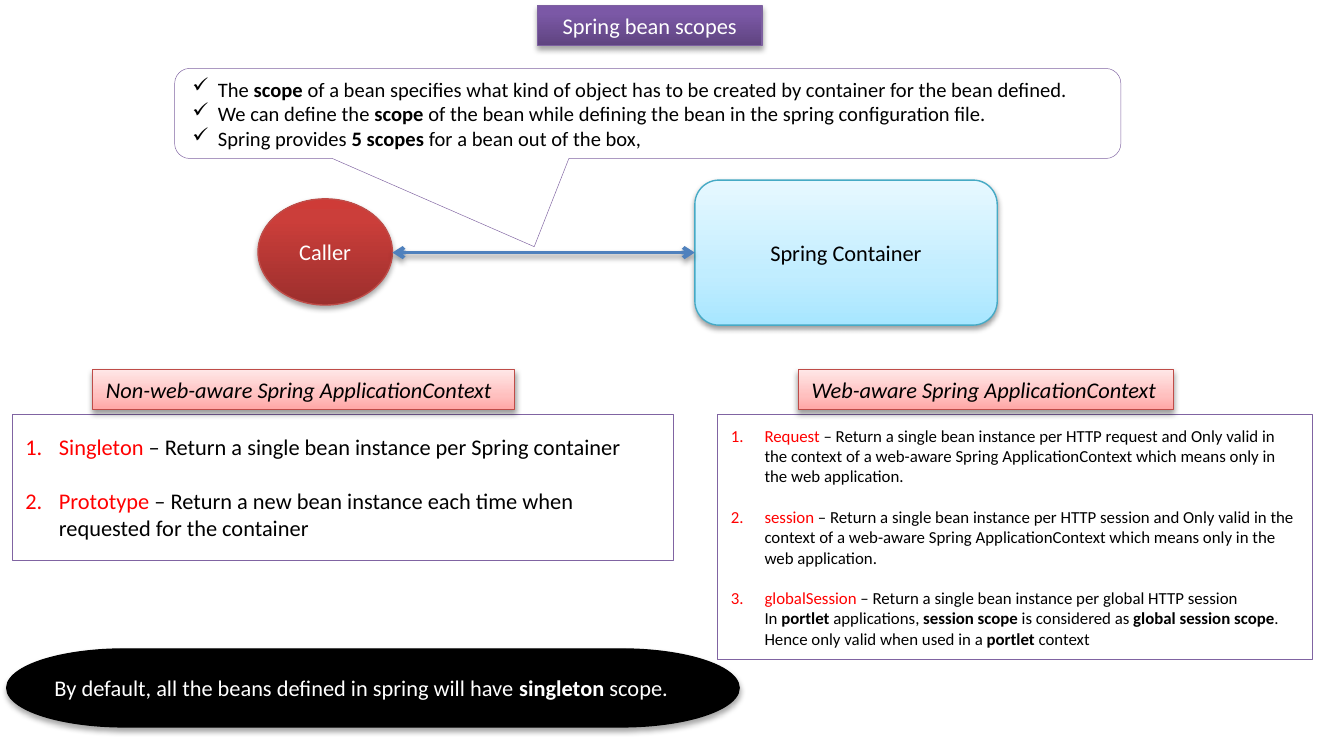
from collections import namedtuple

from lxml.etree import SubElement
from pptx import Presentation
from pptx.dml.color import RGBColor
from pptx.enum.shapes import MSO_CONNECTOR, MSO_SHAPE
from pptx.enum.text import MSO_ANCHOR, PP_ALIGN
from pptx.oxml.ns import qn
from pptx.util import Inches, Pt

COLS, ROWS = 100, 55
CELL = Inches(0.1)
Box = namedtuple("Box", "x y w h")

PURPLE = [(0, "5F4480"), (80, "7B58A6"), (100, "7C57A8")]
BLUE = [(0, "A7E6FF"), (35, "C1EDFF"), (100, "E7F8FF")]
RED = [(0, "9C2F2D"), (80, "CB3E3A"), (100, "CE3B37")]
PINK = [(0, "FFA6A5"), (35, "FFC0BF"), (100, "FFE7E7")]

SCOPE_FACTS = [
    "The **scope** of a bean specifies what kind of object has to be created by container for the bean defined.",
    "We can define the **scope** of the bean while defining the bean in the spring configuration file.",
    "Spring provides **5 scopes** for a bean out of the box,",
]
NON_WEB_SCOPES = [
    ("Singleton", " – Return a single bean instance per Spring container"),
    ("Prototype", " – Return a new bean instance each time when requested for the container"),
]
WEB_SCOPES = [
    ("Request", " – Return a single bean instance per HTTP request and Only valid in the context of a "
     "web-aware Spring ApplicationContext which means only in the web application."),
    ("session", " – Return a single bean instance per HTTP session and Only valid in the context of a "
     "web-aware Spring ApplicationContext which means only in the web application."),
    ("globalSession", " – Return a single bean instance per global HTTP session\n"
     "In **portlet** applications, **session scope** is considered as **global session scope**.\n"
     "Hence only valid when used in a **portlet** context"),
]


def color(hex_code):
    return RGBColor.from_string(hex_code)


def inside(box, x, y, w, h):
    """Box placed x columns and y rows from the corner of another box."""
    return Box(box.x + x, box.y + y, w, h)


def child(parent, tag, **attrs):
    return SubElement(parent, qn(tag), {k: str(v) for k, v in attrs.items()})


def add_effects(s, alpha=None):
    """Soft shadow below the shape, or none when alpha is not given."""
    effects = child(s._element.spPr, "a:effectLst")
    if alpha:
        shadow = child(effects, "a:outerShdw", blurRad=Pt(3.1), dist=Pt(1.8),
                       dir=90 * 60000, rotWithShape=0)
        child(child(shadow, "a:srgbClr", val="000000"), "a:alpha", val=alpha * 1000)


def set_gradient(s, stops):
    s.fill.gradient()
    s.fill.gradient_angle = 90
    stop_list = s._element.spPr.find(qn("a:gradFill")).find(qn("a:gsLst"))
    for old in list(stop_list):
        stop_list.remove(old)
    for pos, hex_code in stops:
        child(child(stop_list, "a:gs", pos=pos * 1000), "a:srgbClr", val=hex_code)


def add_box(slide, kind, box, fill, line, width=0.75, shadow=None):
    s = slide.shapes.add_shape(kind, *(round(v * CELL) for v in box))
    if isinstance(fill, list):
        set_gradient(s, fill)
    else:
        s.fill.solid()
        s.fill.fore_color.rgb = color(fill)
    s.line.color.rgb = color(line)
    s.line.width = Pt(width)
    add_effects(s, shadow)
    s.text_frame.word_wrap = True
    s.text_frame.vertical_anchor = MSO_ANCHOR.MIDDLE
    return s


def set_bullet(p, indent, tag, **attrs):
    pPr = p._p.get_or_add_pPr()
    pPr.set("marL", str(Inches(indent)))
    pPr.set("indent", str(-Inches(indent)))
    child(pPr, tag, **attrs)


def style(p, size, hex_code, align=PP_ALIGN.LEFT, italic=None):
    p.alignment = align
    p.font.name = "Calibri"
    p.font.size = Pt(size)
    p.font.italic = italic
    p.font.color.rgb = color(hex_code)


def add_marked_text(p, text):
    """Runs with **bold** parts and line breaks."""
    for n, line in enumerate(text.split("\n")):
        if n:
            p.add_line_break()
        for i, part in enumerate(line.split("**")):
            if part:
                r = p.add_run()
                r.text = part
                if i % 2:
                    r.font.bold = True


def paragraphs(tf, count):
    return [tf.paragraphs[0]] + [tf.add_paragraph() for _ in range(count - 1)]


def label(s, text, hex_code, align=PP_ALIGN.CENTER, italic=None):
    p = s.text_frame.paragraphs[0]
    add_marked_text(p, text)
    style(p, 12, hex_code, align, italic)


def add_title(slide, box):
    s = add_box(slide, MSO_SHAPE.RECTANGLE, box, PURPLE, "7D60A0", shadow=35)
    label(s, "Spring bean scopes", "FFFFFF")


def add_callout(slide, box):
    s = add_box(slide, MSO_SHAPE.ROUNDED_RECTANGULAR_CALLOUT, box, "FFFFFF", "8064A2", 0.25)
    s.adjustments[0], s.adjustments[1] = -0.12, 1.48
    for p, fact in zip(paragraphs(s.text_frame, len(SCOPE_FACTS)), SCOPE_FACTS):
        set_bullet(p, 0.19, "a:buChar", char="✓")
        add_marked_text(p, fact)
        style(p, 11, "000000")


def add_call_diagram(slide, box):
    container = add_box(slide, MSO_SHAPE.ROUNDED_RECTANGLE, inside(box, 38.7, 8.3, 22.5, 10.8),
                        BLUE, "46AAC5", shadow=38)
    label(container, "Spring Container", "000000")
    caller = add_box(slide, MSO_SHAPE.OVAL, inside(box, 6.2, 9.7, 10, 7.9),
                     RED, "BF4C48", shadow=35)
    label(caller, "Caller", "FFFFFF")

    middle = container.top + container.height // 2
    link = slide.shapes.add_connector(MSO_CONNECTOR.STRAIGHT, caller.left + caller.width, middle,
                                      container.left, middle)
    link.end_connect(container, 1)
    link.line.color.rgb = color("4F81BD")
    link.line.width = Pt(2)
    for end in ("a:headEnd", "a:tailEnd"):
        child(link.line._get_or_add_ln(), end, type="arrow")
    add_effects(link, 38)
    add_callout(slide, inside(box, 0, 0, box.w, 6.7))


def add_context_panel(slide, box, heading, heading_width, scopes, size):
    """Numbered scopes in a frame, with a heading over its top edge."""
    frame = add_box(slide, MSO_SHAPE.FLOWCHART_PROCESS, inside(box, 0, 3.35, box.w, box.h - 3.35),
                    "FFFFFF", "8064A2", 0.25)
    for n, (p, (name, meaning)) in enumerate(zip(paragraphs(frame.text_frame, len(scopes)), scopes)):
        set_bullet(p, 0.25, "a:buAutoNum", type="arabicPeriod")
        r = p.add_run()
        r.text = name
        r.font.color.rgb = color("FF0000")
        add_marked_text(p, meaning)
        style(p, size, "000000")
        if n:
            p.space_before = Pt(size * 1.22)

    s = add_box(slide, MSO_SHAPE.RECTANGLE, inside(box, 6, 0, heading_width, 3),
                PINK, "BF4C48", shadow=38)
    s.text_frame.word_wrap = False
    label(s, heading, "000000", PP_ALIGN.LEFT, italic=True)


def add_default_note(slide, box):
    s = add_box(slide, MSO_SHAPE.FLOWCHART_TERMINATOR, box, "000000", "000000", shadow=35)
    label(s, "By default, all the beans defined in spring will have **singleton** scope.",
          "FFFFFF", PP_ALIGN.LEFT)


def main():
    prs = Presentation()
    prs.slide_width, prs.slide_height = COLS * CELL, ROWS * CELL
    slide = prs.slides.add_slide(prs.slide_layouts[6])
    add_title(slide, Box(40, 0.4, 16.7, 3))
    add_call_diagram(slide, Box(13, 5.1, 70.4, 19.1))
    add_context_panel(slide, Box(0.9, 27.5, 49.2, 14.2), "Non-web-aware Spring ApplicationContext",
                      31.4, NON_WEB_SCOPES, 12)
    add_context_panel(slide, Box(53.4, 27.5, 44.2, 21.6), "Web-aware Spring ApplicationContext",
                      27.9, WEB_SCOPES, 9)
    add_default_note(slide, Box(0.5, 48.3, 54.5, 5.8))
    prs.save("out.pptx")


if __name__ == "__main__":
    main()
